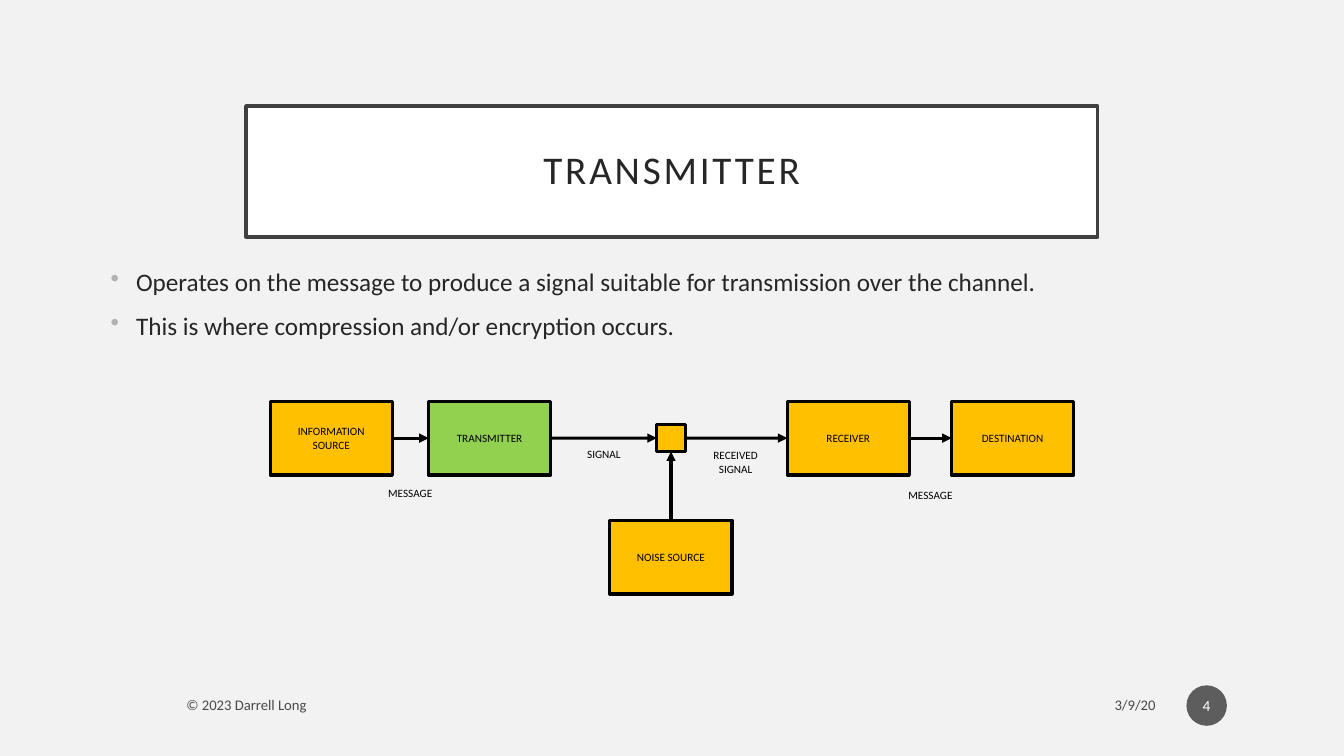
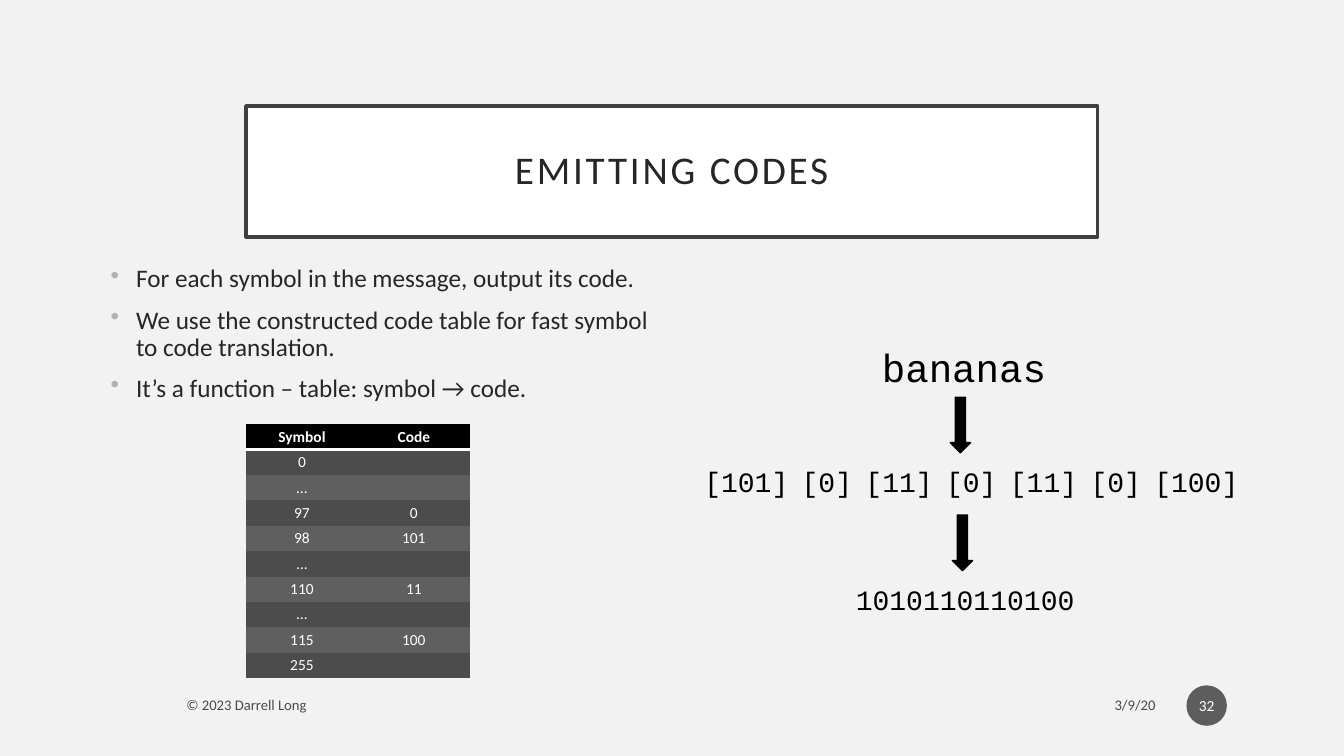
from lxml.etree import SubElement
from pptx import Presentation
from pptx.dml.color import RGBColor
from pptx.enum.shapes import MSO_CONNECTOR, MSO_SHAPE as SHAPE
from pptx.enum.text import MSO_ANCHOR as ANCHOR, PP_ALIGN as ALIGN
from pptx.oxml import parse_xml
from pptx.oxml.ns import nsdecls, qn
from pptx.util import Cm, Pt

COLORS = {
    "background": "F2F2F2",
    "white": "FFFFFF",
    "black": "000000",
    "frame": "404040",
    "text": "262626",
    "bullet": "B2B2B2",
    "footer": "494949",
    "badge": "5D5D5D",
    "node": "FFC000",
    "highlight": "92D050",
    "odd_row": "4C4C4C",
    "even_row": "5F5F5F",
}
SANS, MONO = "Calibri", "Courier New"
NO_TABLE_STYLE = "{2D5ABB26-0587-4C30-8999-92F81FD0307C}"
TOP, RIGHT, BOTTOM, LEFT = 0, 3, 2, 1  # connection sites of a rectangle

NODE_WIDTH, NODE_HEIGHT, NODE_TOP = 3.08, 1.86, 10.11
CHAR_WIDTH, CODE_GAP, CODE_PAD = 0.42, 0.35, 0.5


def rgb(color):
    return RGBColor.from_string(COLORS[color])


def cm_box(box):
    return [Cm(length) for length in box]


def style(paragraph, size, color, font=SANS, align=ALIGN.LEFT, bold=False):
    paragraph.alignment = align
    paragraph.font.size = Pt(size)
    paragraph.font.name = font
    paragraph.font.bold = bold
    paragraph.font.color.rgb = rgb(color)


def set_margins(target, horizontal, vertical):
    target.margin_left = target.margin_right = Cm(horizontal)
    target.margin_top = target.margin_bottom = Cm(vertical)


def write(frame, text, size, color, font=SANS, align=ALIGN.CENTER, anchor=ANCHOR.MIDDLE):
    """Fill a frame with one paragraph for each line of the text."""
    frame.word_wrap = True
    frame.vertical_anchor = anchor
    frame.text = text
    for paragraph in frame.paragraphs:
        style(paragraph, size, color, font, align)


def add_label(slide, box, text, size, color="black", **options):
    frame = slide.shapes.add_textbox(*cm_box(box)).text_frame
    write(frame, text, size, color, **{"anchor": ANCHOR.TOP, **options})


def add_block(slide, kind, box, fill, line=None, line_width=1):
    block = slide.shapes.add_shape(kind, *cm_box(box))
    block.shadow.inherit = False
    block.fill.solid()
    block.fill.fore_color.rgb = rgb(fill)
    if line:
        block.line.color.rgb = rgb(line)
        block.line.width = Pt(line_width)
    else:
        block.line.fill.background()
    return block


def add_bullets(slide, box, items, line_spacing=1.0):
    frame = slide.shapes.add_textbox(*cm_box(box)).text_frame
    frame.word_wrap = True
    frame.text = "\n".join(items)
    for index, paragraph in enumerate(frame.paragraphs):
        properties = paragraph._p.get_or_add_pPr()
        properties.set("marL", str(Cm(0.64)))
        properties.set("indent", str(-Cm(0.64)))
        bullet_color = SubElement(properties, qn("a:buClr"))
        SubElement(bullet_color, qn("a:srgbClr"), val=COLORS["bullet"])
        SubElement(properties, qn("a:buChar"), char="•")
        paragraph.line_spacing = line_spacing
        if index:
            paragraph.space_before = Pt(10)
        style(paragraph, 18, "text")


def add_node(slide, left, top, text, fill="node", width=NODE_WIDTH, height=NODE_HEIGHT):
    node = add_block(slide, SHAPE.RECTANGLE, (left, top, width, height), fill, "black", 2.25)
    if text:
        write(node.text_frame, text, 8, "black")
    return node


def link(slide, start, start_site, end, end_site):
    arrow = slide.shapes.add_connector(MSO_CONNECTOR.STRAIGHT, 0, 0, 0, 0)
    arrow.begin_connect(start, start_site)
    arrow.end_connect(end, end_site)
    arrow.line.color.rgb = rgb("black")
    arrow.line.width = Pt(2.25)
    properties = arrow._element.spPr
    SubElement(properties.find(qn("a:ln")), qn("a:tailEnd"), type="triangle")
    SubElement(properties, qn("a:effectLst"))


def fill_cell(cell, text, fill, bold):
    set_margins(cell, 0.15, 0.08)
    cell.fill.solid()
    cell.fill.fore_color.rgb = rgb(fill)
    cell.text = text
    paragraph = cell.text_frame.paragraphs[0]
    style(paragraph, 11, "white", align=ALIGN.CENTER, bold=bold)
    if not text:
        SubElement(paragraph._p, qn("a:endParaRPr"), sz="1100")


def underline_cell(cell):
    border = parse_xml(
        f'<a:lnB {nsdecls("a")} w="{Pt(2)}"><a:solidFill>'
        f'<a:srgbClr val="{COLORS["white"]}"/></a:solidFill></a:lnB>'
    )
    cell._tc.get_or_add_tcPr().insert(0, border)


def add_code_table(slide, left, top, rows):
    column_width, row_height = 2.82, 0.64
    box = (left, top, 2 * column_width, len(rows) * row_height)
    table = slide.shapes.add_table(len(rows), 2, *cm_box(box)).table
    table.horz_banding = False
    table._tbl.tblPr.find(qn("a:tableStyleId")).text = NO_TABLE_STYLE
    for row_index, row in enumerate(rows):
        header = row_index == 0
        fill = "black" if header else ("even_row", "odd_row")[row_index % 2]
        for column, text in enumerate(row):
            cell = table.cell(row_index, column)
            fill_cell(cell, text, fill, header)
            if header:
                underline_cell(cell)


def add_slide(deck, title, number):
    """Start a slide with the framed title, footer and number badge."""
    slide = deck.slides.add_slide(deck.slide_layouts[6])
    banner = add_block(slide, SHAPE.RECTANGLE, (6.2, 2.67, 21.46, 3.3), "white", "frame", 2.5)
    set_margins(banner.text_frame, 0.5, 0.5)
    write(banner.text_frame, title, 28, "text")
    heading = banner.text_frame.paragraphs[0]
    heading.line_spacing = 0.9
    heading.runs[0]._r.get_or_add_rPr().set("spc", "200")

    footer = {"size": 10.5, "color": "footer", "anchor": ANCHOR.MIDDLE}
    add_label(slide, (21.72, 17.32, 7.65, 0.89), "3/9/20", align=ALIGN.RIGHT, **footer)
    add_label(slide, (4.45, 17.32, 16.38, 0.89), "© 2023 Darrell Long", align=ALIGN.LEFT, **footer)
    badge = add_block(slide, SHAPE.OVAL, (29.9, 17.27, 1.02, 1.02), "badge")
    set_margins(badge.text_frame, 0.05, 0.13)
    write(badge.text_frame, str(number), 11, "white")
    return slide


def add_channel_diagram(slide):
    source = add_node(slide, 6.81, NODE_TOP, "INFORMATION\nSOURCE")
    transmitter = add_node(slide, 10.8, NODE_TOP, "TRANSMITTER", "highlight")
    receiver = add_node(slide, 19.84, NODE_TOP, "RECEIVER")
    destination = add_node(slide, 23.98, NODE_TOP, "DESTINATION")
    noise = add_node(slide, 15.37, 13.11, "NOISE SOURCE")
    channel = add_node(slide, 16.55, 10.7, "", width=0.72, height=0.68)

    path_nodes = [source, transmitter, channel, receiver, destination]
    for start, end in zip(path_nodes, path_nodes[1:]):
        link(slide, start, RIGHT, end, LEFT)
    link(slide, noise, TOP, channel, BOTTOM)

    for left, top, text in [
        (9.22, 12.14, "MESSAGE"),
        (22.33, 12.17, "MESSAGE"),
        (14.1, 11.15, "SIGNAL"),
        (17.42, 11.18, "RECEIVED\nSIGNAL"),
    ]:
        add_label(slide, (left, top, 2.24, 0.69), text, 8)


def add_encoding_example(slide):
    add_label(slide, (21.08, 8.53, 6.43, 1.63), "bananas", 28, font=MONO)
    left = 17.76
    for code in ["101", "0", "11", "0", "11", "0", "100"]:
        text = f"[{code}]"
        width = len(text) * CHAR_WIDTH
        box = (left - CODE_PAD, 11.57, width + 2 * CODE_PAD, 1.24)
        add_label(slide, box, text, 20, font=MONO)
        left += width + CODE_GAP
    add_label(slide, (20.96, 14.55, 6.73, 1.24), "1010110110100", 20, font=MONO)
    for arrow_left, arrow_top in [(23.95, 10.01), (24, 12.98)]:
        add_block(slide, SHAPE.DOWN_ARROW, (arrow_left, arrow_top, 0.51, 1.4), "black", "black")


def transmitter_slide(deck):
    slide = add_slide(deck, "TRANSMITTER", 4)
    add_bullets(slide, (2.54, 6.58, 28.78, 9.5), [
        "Operates on the message to produce a signal suitable for transmission over the channel.",
        "This is where compression and/or encryption occurs.",
    ])
    add_channel_diagram(slide)


def emitting_codes_slide(deck):
    slide = add_slide(deck, "EMITTING CODES", 32)
    add_bullets(slide, (2.54, 6.58, 14.4, 3.81), [
        "For each symbol in the message, output its code.",
        "We use the constructed code table for fast symbol to code translation.",
        "It’s a function – table: symbol → code.",
    ], line_spacing=0.9)
    add_code_table(slide, 6.2, 10.69, [
        ("Symbol", "Code"),
        ("0", ""),
        ("…", ""),
        ("97", "0"),
        ("98", "101"),
        ("…", ""),
        ("110", "11"),
        ("…", ""),
        ("115", "100"),
        ("255", ""),
    ])
    add_encoding_example(slide)


def main():
    deck = Presentation()
    deck.slide_width, deck.slide_height = Cm(33.87), Cm(19.05)
    backdrop = deck.slide_master.background.fill
    backdrop.solid()
    backdrop.fore_color.rgb = rgb("background")
    transmitter_slide(deck)
    emitting_codes_slide(deck)
    deck.save("out.pptx")


if __name__ == "__main__":
    main()
